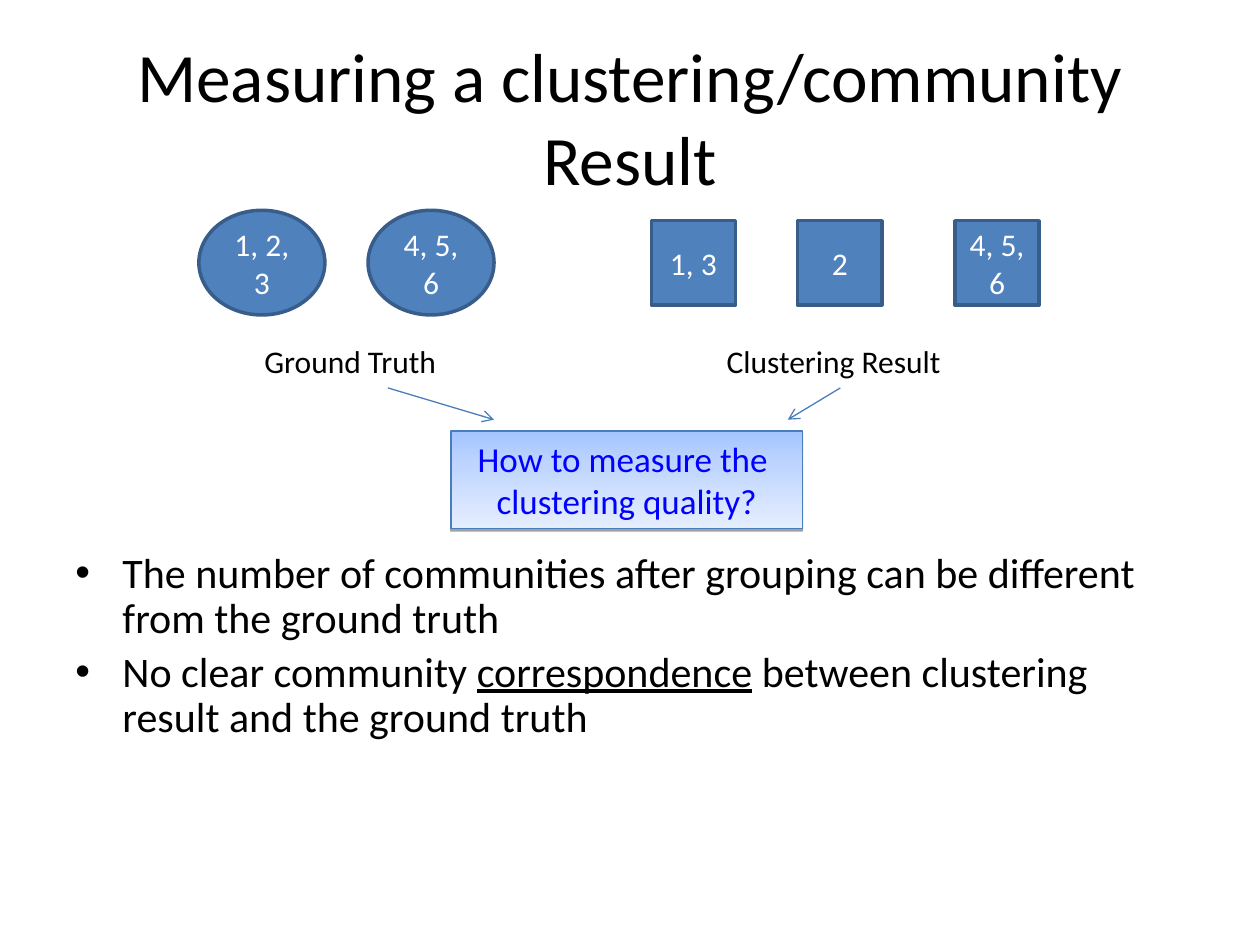
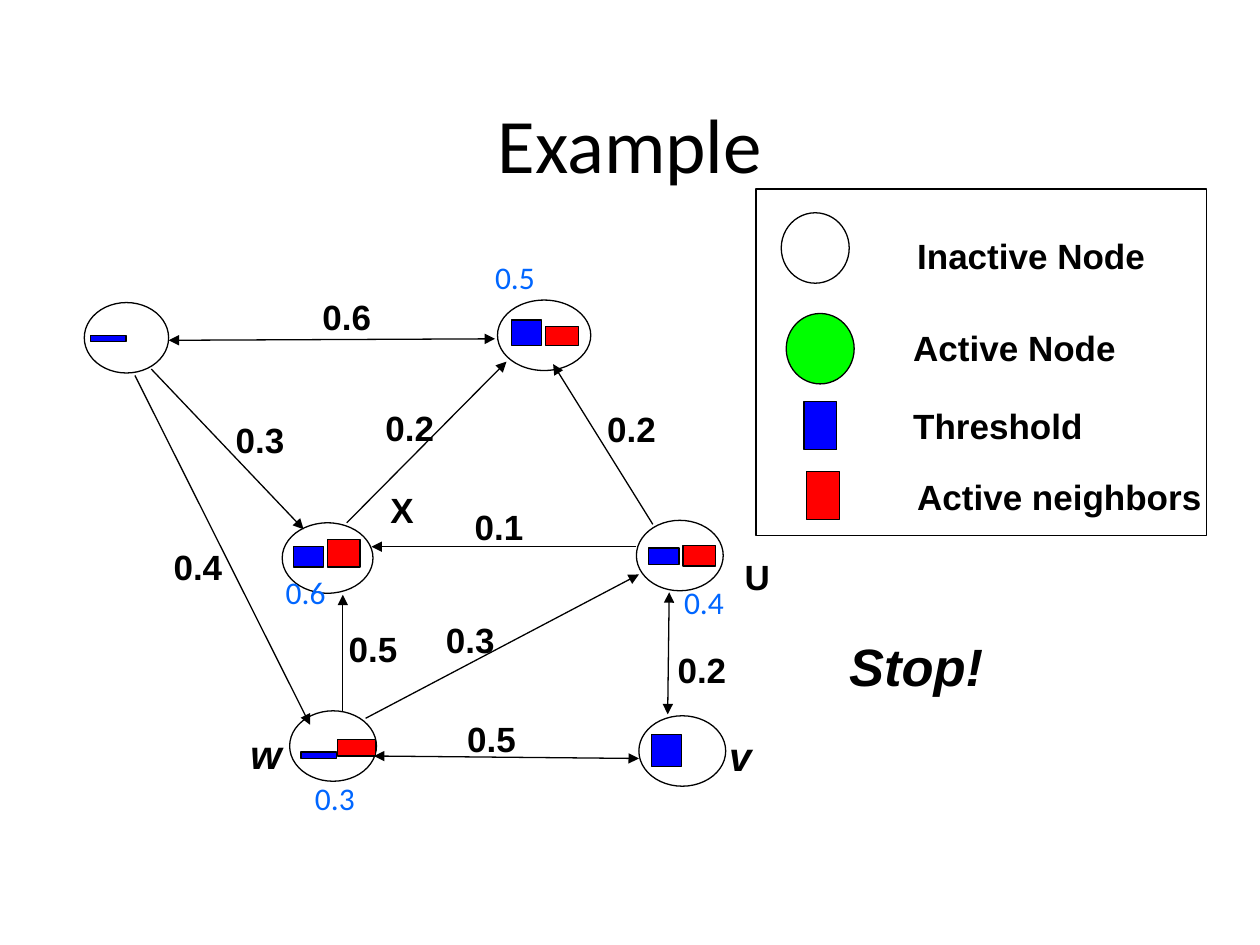
from copy import deepcopy

from lxml import etree
from pptx import Presentation
from pptx import util as u
from pptx.dml import color
from pptx.enum import shapes, text
from pptx.oxml import ns

BLACK, WHITE, BLUE, RED, GREEN = "000000", "FFFFFF", "0000FF", "FF0000", "00FF00"
CLUSTER, CLUSTER_EDGE, ARROW, VALUE = "4F81BD", "385D8A", "4A7EBB", "0066FF"
OVAL, RECT = shapes.MSO_SHAPE.OVAL, shapes.MSO_SHAPE.RECTANGLE
CENTER, LEFT = text.PP_ALIGN.CENTER, text.PP_ALIGN.LEFT
TOP, MIDDLE, BOTTOM = (text.MSO_ANCHOR.TOP, text.MSO_ANCHOR.MIDDLE,
                       text.MSO_ANCHOR.BOTTOM)

CALIBRI = {"name": "Calibri", "size": 18}
ARIAL = {"name": "Arial", "size": 20, "bold": True}


def rgb(code):
    """Turn a hex string into a colour."""
    return color.RGBColor.from_string(code)


def cm(*values):
    """Turn numbers into centimetre lengths."""
    return [u.Cm(value) for value in values]


def style(span, look):
    """Set the font attributes of a run from a dict."""
    for key, value in look.items():
        if key == "color":
            span.font.color.rgb = rgb(value)
        else:
            setattr(span.font, key, u.Pt(value) if key == "size" else value)


def write(box, lines, look, align=LEFT, anchor=TOP, wrap=True):
    """Fill a box with paragraphs, each given as (words, extra format) runs."""
    frame = box.text_frame
    frame.word_wrap, frame.vertical_anchor = wrap, anchor
    for number, runs in enumerate(lines):
        para = frame.add_paragraph() if number else frame.paragraphs[0]
        para.alignment = align
        for words, extra in runs:
            span = para.add_run()
            span.text = words
            style(span, {"color": BLACK, **look, **extra})


def add_label(page, place, words, look, **layout):
    """Add a text box holding one line of text."""
    box = page.shapes.add_textbox(*cm(*place))
    write(box, [[(words, {})]], look, **layout)
    return box


def add_title(page, words, size, anchor):
    """Add the centred slide title."""
    add_label(page, (1.27, 0.76, 22.86, 3.18), words, {**CALIBRI, "size": size},
              align=CENTER, anchor=anchor)


def add_figure(page, kind, place, fill=None, edge=BLACK, weight=0.75):
    """Add a preset shape with a flat fill, or none, and an outline."""
    figure = page.shapes.add_shape(kind, *cm(*place))
    figure.shadow.inherit = False
    if fill:
        figure.fill.solid()
        figure.fill.fore_color.rgb = rgb(fill)
    else:
        figure.fill.background()
    figure.line.color.rgb = rgb(edge)
    figure.line.width = u.Pt(weight)
    return figure


def add_arrow(page, start, end, edge=BLACK, head="triangle", both=False):
    """Add a straight arrow pointing at its end, or at both ends."""
    arrow = page.shapes.add_connector(shapes.MSO_CONNECTOR.STRAIGHT,
                                      *cm(*start, *end))
    arrow.line.color.rgb = rgb(edge)
    arrow.line.width = u.Pt(0.75)
    line = arrow.line._get_or_add_ln()
    for tag in ("a:headEnd", "a:tailEnd") if both else ("a:tailEnd",):
        etree.SubElement(line, ns.qn(tag), type=head)
    etree.SubElement(arrow._element.spPr, ns.qn("a:effectLst"))


def add_bullets(page, place, lines, look):
    """Add a bulleted list with hanging indents."""
    box = page.shapes.add_textbox(*cm(*place))
    write(box, lines, look)
    for number, para in enumerate(box.text_frame.paragraphs):
        props = para._p.get_or_add_pPr()
        props.set("marL", str(u.Cm(0.95)))
        props.set("indent", str(u.Cm(-0.95)))
        font = etree.SubElement(props, ns.qn("a:buFont"))
        font.set("typeface", "Arial")
        etree.SubElement(props, ns.qn("a:buChar"), char="•")
        para.line_spacing = 0.9
        para.space_before = u.Pt(4.8 if number else 0)


def add_question(page, place, lines):
    """Add the question box with its gradient and drop shadow."""
    box = add_figure(page, RECT, place, edge=ARROW)
    box.fill.gradient()
    box.fill.gradient_angle = 270
    stops = next(box._element.iter(ns.qn("a:gsLst")))
    stops.append(deepcopy(stops[-1]))
    shades = ((0, "A3C4FF"), (0.35, "BFD5FF"), (1, "E5EEFF"))
    for stop, (position, shade) in zip(box.fill.gradient_stops, shades):
        stop.position = position
        stop.color.rgb = rgb(shade)
    effects = box._element.spPr.find(ns.qn("a:effectLst"))
    shadow = etree.SubElement(effects, ns.qn("a:outerShdw"), blurRad="0",
                              dist=str(u.Pt(1.6)), dir="5400000", rotWithShape="0")
    tint = etree.SubElement(shadow, ns.qn("a:srgbClr"), val=BLACK)
    etree.SubElement(tint, ns.qn("a:alpha"), val="37000")
    write(box, [[(line, {})] for line in lines],
          {**CALIBRI, "size": 20, "color": BLUE}, align=CENTER, wrap=False)


def build_measuring(page):
    """Build the slide comparing the ground truth with a clustering result."""
    add_title(page, "Measuring a clustering/community Result", 39.6, MIDDLE)
    add_bullets(page, (1.27, 11, 22.86, 5.38), [
        [("The number of communities after grouping can be different "
          "from the ground truth", {})],
        [("No clear community ", {}), ("correspondence", {"underline": True}),
         (" between clustering result and the ground truth", {})],
    ], {**CALIBRI, "size": 24})

    clusters = [(OVAL, left, 4.24, 2.54, 2.11, members)
                for left, members in ((4.01, "1, 2, 3"), (7.42, "4, 5, 6"))]
    clusters += [(RECT, left, 4.45, 1.7, 1.7, members)
                 for left, members in ((13.13, "1, 3"), (16.08, "2"),
                                       (19.25, "4, 5, 6"))]
    for kind, *place, members in clusters:
        figure = add_figure(page, kind, place, CLUSTER, CLUSTER_EDGE, 2)
        write(figure, [[(members, {})]], {**CALIBRI, "color": WHITE},
              align=CENTER, anchor=MIDDLE)

    for left, width, caption in ((5.08, 4.29, "Ground Truth"),
                                 (14.4, 5.38, "Clustering Result")):
        add_label(page, (left, 6.78, width, 1.02), caption, CALIBRI, wrap=False)
    add_question(page, (9.09, 8.69, 7.09, 1.96),
                 ("How to measure the ", "clustering quality?"))
    for start, end in ((7.82, 9.96), (16.94, 15.88)):
        add_arrow(page, (start, 7.82), (end, 8.46), ARROW, "arrow")


def add_legend(page):
    """Add the framed legend of node and bar kinds."""
    add_figure(page, RECT, (15.24, 3.81, 9.09, 6.99))
    disc, bar = (1.37, 1.42), (0.66, 0.97)
    entries = (
        (OVAL, (15.75, 4.29), disc, WHITE, (18.24, 4.6), "Inactive Node"),
        (OVAL, (15.85, 6.32), disc, GREEN, (18.16, 6.45), "Active Node"),
        (RECT, (16.21, 8.1), bar, BLUE, (18.16, 8.03), "Threshold"),
        (RECT, (16.26, 9.5), bar, RED, (18.24, 9.47), "Active neighbors"),
    )
    for kind, corner, size, fill, place, caption in entries:
        add_figure(page, kind, corner + size, fill)
        add_label(page, (*place, 6.6, 1.09), caption, ARIAL)


def add_network(page):
    """Add the nodes, the weighted edges and the bars inside the nodes."""
    nodes = ((5.69, 10.54, 1.83), (5.84, 14.33, 1.75), (12.83, 10.49, 1.75),
             (12.88, 14.43, 1.75), (1.7, 6.1, 1.7), (10.03, 6.05, 1.88))
    for left, top, width in nodes:
        add_figure(page, OVAL, (left, top, width, 1.42), WHITE)

    edges = (
        ((7.54, 15.24), (12.88, 15.29), True, "0.5", (9.17, 14.33)),
        ((7.37, 14.48), (12.88, 11.58), False, "0.3", (8.74, 12.34)),
        ((6.91, 14.33), (6.91, 11.99), False, "0.5", (6.78, 12.52)),
        ((12.83, 11.02), (7.49, 11.02), False, "0.1", (9.32, 10.06)),
        ((2.72, 7.57), (6.25, 14.61), False, "0.4", (3.25, 10.87)),
        ((3.05, 7.44), (6.12, 10.67), False, "0.3", (4.5, 8.31)),
        ((6.99, 10.54), (10.21, 7.29), False, "0.2", (7.52, 8.08)),
        ((3.4, 6.86), (9.98, 6.83), True, "0.6", (6.25, 5.84)),
        ((13.16, 10.57), (11.15, 7.34), False, "0.2", (11.99, 8.1)),
        ((13.49, 11.94), (13.46, 14.4), True, "0.2", (13.41, 12.95)),
    )
    for start, end, both, weight, corner in edges:
        add_arrow(page, start, end, both=both)
        add_label(page, (*corner, 1.7, 1.09), weight, ARIAL)

    bars = {
        BLUE: ((13.13, 14.81, 0.61, 0.64), (10.31, 6.45, 0.61, 0.51),
               (5.92, 11.02, 0.61, 0.41), (13.08, 11.05, 0.61, 0.33),
               (6.07, 15.16, 0.71, 0.13), (1.83, 6.76, 0.71, 0.13)),
        RED: ((6.81, 14.91, 0.76, 0.33), (6.6, 10.87, 0.66, 0.56),
              (13.77, 11, 0.66, 0.41), (11, 6.58, 0.66, 0.38)),
    }
    for fill, places in bars.items():
        for place in places:
            add_figure(page, RECT, place, fill)


def build_example(page):
    """Build the slide with the threshold network example."""
    add_title(page, "Example", 44, BOTTOM)
    add_legend(page)
    add_network(page)
    names = (
        ("v", (14.45, 14.61, 0.86, 1.22), {"size": 23, "italic": True}),
        ("w", (4.8, 14.58, 0.97, 1.22), {"size": 23, "italic": True}),
        ("Stop!", (16.87, 12.65, 3.63, 1.52), {"size": 30, "italic": True}),
        ("U", (14.76, 11.07, 1.12, 1.09), {}),
        ("X", (7.62, 9.73, 1.12, 1.09), {}),
    )
    for name, place, extra in names:
        add_label(page, place, name, {**ARIAL, **extra})
    for value, left, top in (("0.3", 6.1, 15.57), ("0.4", 13.54, 11.63),
                             ("0.6", 5.51, 11.43), ("0.5", 9.73, 5.08)):
        add_label(page, (left, top, 1.45, 1.02), value,
                  {**CALIBRI, "color": VALUE}, wrap=False)


def main():
    """Build the deck and save it."""
    deck = Presentation()
    deck.slide_width, deck.slide_height = cm(25.4, 19.05)
    for build in (build_measuring, build_example):
        build(deck.slides.add_slide(deck.slide_layouts[6]))
    deck.save("out.pptx")


if __name__ == "__main__":
    main()
